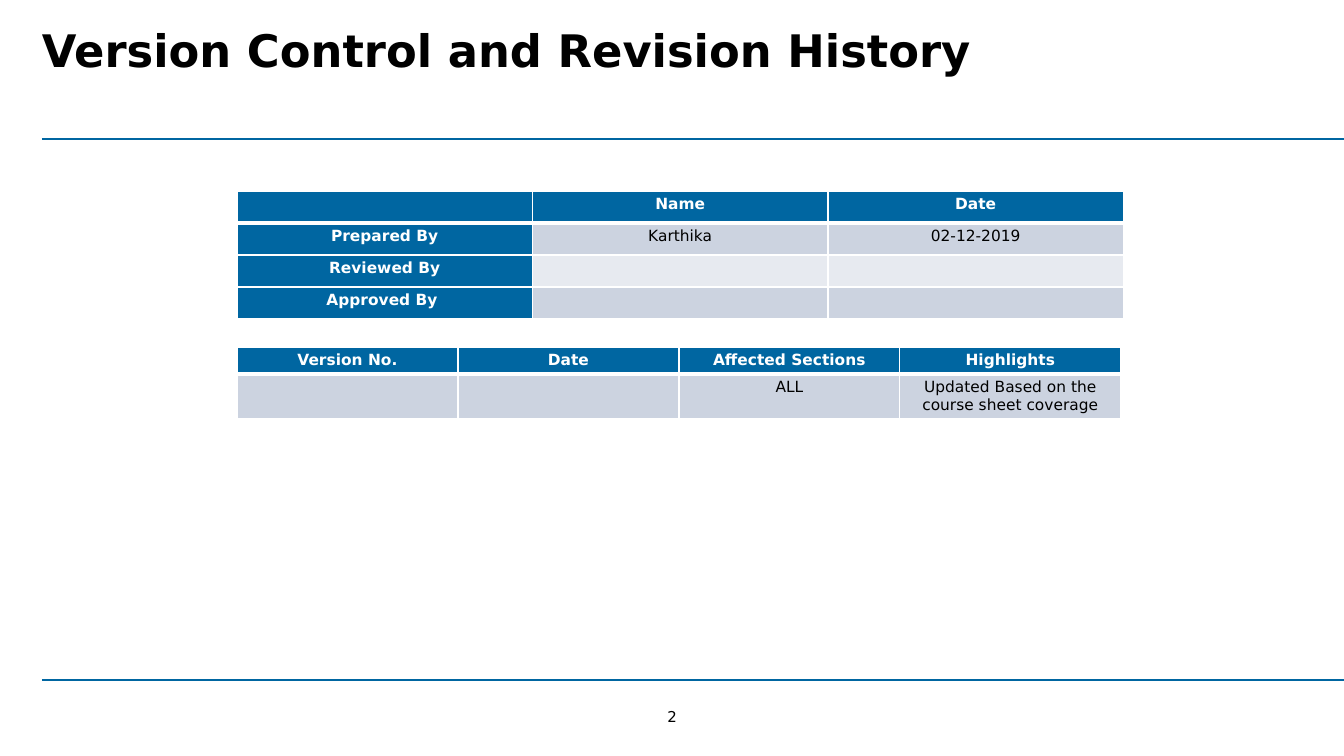
from lxml.etree import SubElement
from pptx import Presentation
from pptx.dml.color import RGBColor
from pptx.enum.shapes import MSO_CONNECTOR
from pptx.enum.text import MSO_ANCHOR, PP_ALIGN
from pptx.oxml.ns import qn
from pptx.util import Emu, Pt

FONT = "DejaVu Sans"
COLORS = {
    "blue": "0066A1",
    "band": "CCD3E0",
    "light_band": "E7EAF0",
    "white": "FFFFFF",
    "black": "000000",
}
SLIDE_WIDTH, SLIDE_HEIGHT = 1344, 756
MARGIN = 42

APPROVALS = [
    ["", "Name", "Date"],
    ["Prepared By", "Karthika", "02-12-2019"],
    ["Reviewed By", "", ""],
    ["Approved By ", "", ""],
]
REVISIONS = [
    ["Version No.", "Date", "Affected Sections", "Highlights"],
    ["", "", "ALL", "Updated Based on the course sheet coverage"],
]


def px(length):
    return Emu(round(length * 914400 / 100.8))


def color(name):
    return RGBColor.from_string(COLORS[name])


def style_paragraph(paragraph, size, color_name, bold=False, align=PP_ALIGN.CENTER):
    paragraph.alignment = align
    font = paragraph.font
    font.name, font.size, font.bold = FONT, Pt(size), bold
    font.color.rgb = color(color_name)


def add_title(slide, text):
    title = slide.shapes.title
    title.left, title.top, title.width, title.height = px(MARGIN), px(18), px(1275), px(106)
    frame = title.text_frame
    frame.text = text
    frame.vertical_anchor = MSO_ANCHOR.TOP
    frame.margin_left = frame.margin_right = 0
    style_paragraph(frame.paragraphs[0], 32, "black", True, PP_ALIGN.LEFT)


def add_rule(slide, top):
    line = slide.shapes.add_connector(
        MSO_CONNECTOR.STRAIGHT, px(MARGIN), px(top), px(SLIDE_WIDTH), px(top))
    line.line.color.rgb = color("blue")
    line.line.width = Pt(1.25)
    SubElement(line._element.spPr, qn("a:effectLst"))


def add_page_number(slide, number):
    box = slide.shapes.add_textbox(px(659), px(708), px(26), px(18))
    frame = box.text_frame
    frame.margin_left = frame.margin_top = frame.margin_right = frame.margin_bottom = 0
    frame.vertical_anchor = MSO_ANCHOR.MIDDLE
    frame.word_wrap = False
    frame.text = str(number)
    style_paragraph(frame.paragraphs[0], 10.7, "black")


def set_borders(cell, bottom_width):
    properties = cell._tc.get_or_add_tcPr()
    widths = {"lnL": 1, "lnR": 1, "lnT": 1, "lnB": bottom_width}
    for position, (side, width) in enumerate(widths.items()):
        line = SubElement(properties, qn(f"a:{side}"), w=str(Pt(width)))
        fill = SubElement(line, qn("a:solidFill"))
        SubElement(fill, qn("a:srgbClr"), val=COLORS["white"])
        properties.insert(position, line)


def fill_cell(cell, text, fill_name, is_heading, bottom_width):
    cell.margin_left = cell.margin_right = px(7)
    cell.margin_top = cell.margin_bottom = px(4)
    cell.fill.solid()
    cell.fill.fore_color.rgb = color(fill_name)
    set_borders(cell, bottom_width)
    cell.text = text
    paragraph = cell.text_frame.paragraphs[0]
    style_paragraph(paragraph, 11, "white" if is_heading else "black", is_heading)
    if not text:  # an empty cell takes its line height from the end mark
        SubElement(paragraph._p, qn("a:endParaRPr"), sz="1100")


def add_table(slide, top, column_width, row_heights, rows, heading_column=False):
    column_count = len(rows[0])
    table = slide.shapes.add_table(
        len(rows), column_count, px(237), px(top),
        px(column_width * column_count), px(sum(row_heights))).table
    for column in table.columns:
        column.width = px(column_width)
    for row_index, texts in enumerate(rows):
        table.rows[row_index].height = px(row_heights[row_index])
        band = "band" if row_index % 2 else "light_band"
        for column_index, text in enumerate(texts):
            is_heading = row_index == 0 or (heading_column and column_index == 0)
            fill_cell(table.cell(row_index, column_index), text,
                      "blue" if is_heading else band, is_heading,
                      3 if row_index == 0 else 1)


def main():
    presentation = Presentation()
    presentation.slide_width, presentation.slide_height = px(SLIDE_WIDTH), px(SLIDE_HEIGHT)
    slide = presentation.slides.add_slide(presentation.slide_layouts[5])

    # Frame of the page
    add_rule(slide, 139)
    add_rule(slide, 680)
    add_page_number(slide, 2)
    add_title(slide, "Version Control and Revision History")

    # Approvals, then revision history
    add_table(slide, 191, 295.5, [32] * 4, APPROVALS, heading_column=True)
    add_table(slide, 347, 221, [27, 43], REVISIONS)

    presentation.save("out.pptx")


if __name__ == "__main__":
    main()
